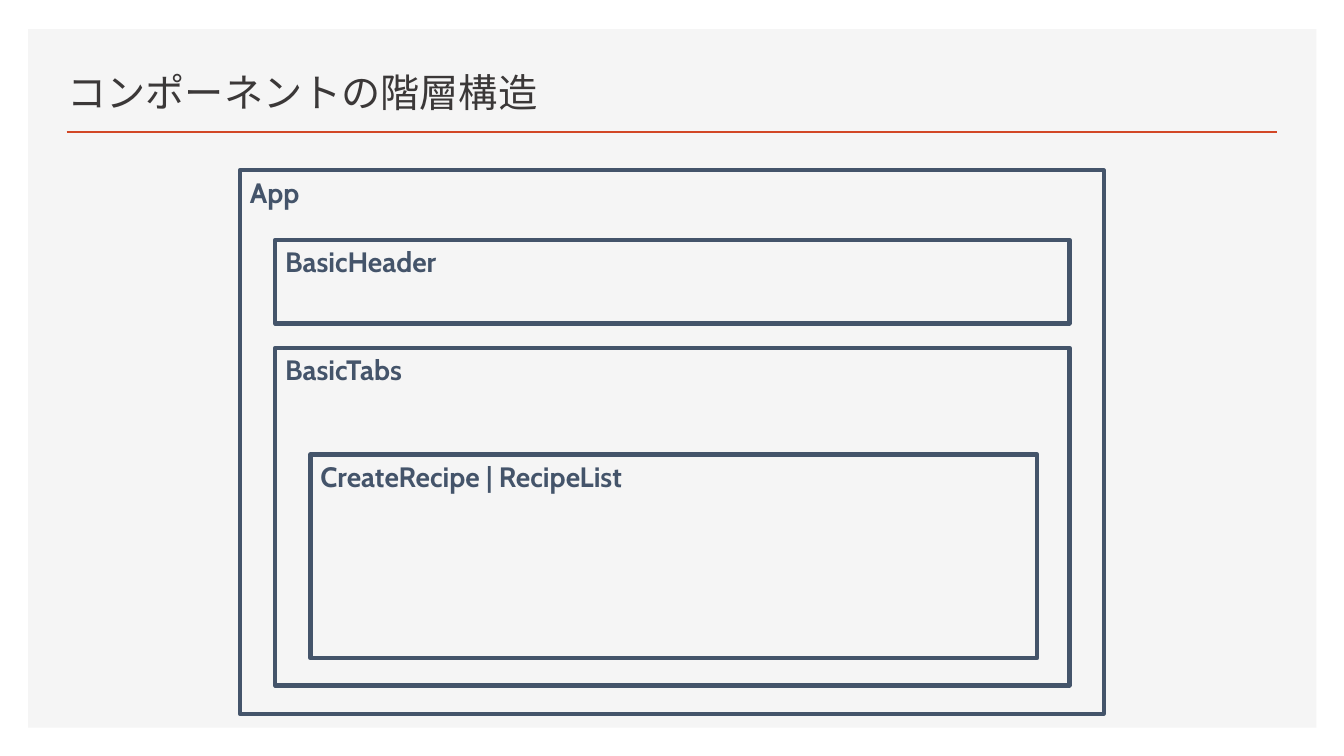
import dataclasses

import pptx
import pptx.dml.color
import pptx.enum.shapes
import pptx.enum.text
import pptx.oxml
import pptx.oxml.ns
import pptx.shapes.autoshape
import pptx.shapes.connector
import pptx.slide
import pptx.text.text
import pptx.util

PANEL_GREY = pptx.dml.color.RGBColor(0xF5, 0xF5, 0xF5)
RULE_ORANGE = pptx.dml.color.RGBColor(0xD2, 0x47, 0x26)
TITLE_GREY = pptx.dml.color.RGBColor(0x3B, 0x38, 0x38)
BOX_BLUE = pptx.dml.color.RGBColor(0x44, 0x54, 0x6A)
TITLE_FONT = "Noto Sans CJK JP"
LABEL_FONT = "Cabin"
APP_LEFT = 171.36
LEVEL_INDENT = 25.2


@dataclasses.dataclass(frozen=True)
class Component:
    name: str
    level: int
    top: float
    width: float
    height: float


COMPONENTS = (
    Component("App", 0, 121.68, 617.04, 388.08),
    Component("BasicHeader", 1, 171.36, 567.36, 59.76),
    Component("BasicTabs", 1, 248.4, 567.36, 241.2),
    Component("CreateRecipe | RecipeList", 2, 324.72, 519.12, 145.44),
)


def add_rectangle(
    slide: pptx.slide.Slide, left: float, top: float, width: float, height: float
) -> pptx.shapes.autoshape.Shape:
    shape = slide.shapes.add_shape(
        pptx.enum.shapes.MSO_SHAPE.RECTANGLE,
        pptx.util.Pt(left),
        pptx.util.Pt(top),
        pptx.util.Pt(width),
        pptx.util.Pt(height),
    )
    shape.shadow.inherit = False
    return shape


def format_text(
    paragraph: pptx.text.text._Paragraph,
    font_name: str,
    size: float,
    color: pptx.dml.color.RGBColor,
    bold: bool,
) -> None:
    """Left-align the paragraph and set its Latin and East Asian fonts."""
    paragraph.alignment = pptx.enum.text.PP_ALIGN.LEFT
    for run in paragraph.runs:
        run.font.name = font_name
        run.font.size = pptx.util.Pt(size)
        run.font.bold = bold
        run.font.color.rgb = color
        east_asian = pptx.oxml.parse_xml(
            f'<a:ea {pptx.oxml.ns.nsdecls("a")} typeface="{font_name}"/>'
        )
        run.font._element.find(pptx.oxml.ns.qn("a:latin")).addnext(east_asian)


def add_panel(slide: pptx.slide.Slide) -> None:
    """Add the grey panel behind everything else."""
    panel = add_rectangle(slide, 20.16, 20.88, 920.16, 498.96)
    panel.fill.solid()
    panel.fill.fore_color.rgb = PANEL_GREY
    panel.line.fill.background()
    slide.shapes.title._element.addprevious(panel._element)


def add_title_rule(slide: pptx.slide.Slide) -> None:
    rule = slide.shapes.add_connector(
        pptx.enum.shapes.MSO_CONNECTOR.STRAIGHT,
        pptx.util.Pt(47.52),
        pptx.util.Pt(94.32),
        pptx.util.Pt(912.24),
        pptx.util.Pt(94.32),
    )
    rule.line.color.rgb = RULE_ORANGE
    rule.line.width = pptx.util.Pt(2)
    rule._element.spPr.append(
        pptx.oxml.parse_xml(f'<a:effectLst {pptx.oxml.ns.nsdecls("a")}/>')
    )


def fill_title(slide: pptx.slide.Slide) -> None:
    title = slide.shapes.title
    title.left, title.top = pptx.util.Pt(41.04), pptx.util.Pt(35.28)
    title.width, title.height = pptx.util.Pt(541.44), pptx.util.Pt(50.4)
    text_frame = title.text_frame
    text_frame.text = "コンポーネントの階層構造"
    text_frame.vertical_anchor = pptx.enum.text.MSO_ANCHOR.BOTTOM
    text_frame.auto_size = pptx.enum.text.MSO_AUTO_SIZE.NONE
    format_text(text_frame.paragraphs[0], TITLE_FONT, 28, TITLE_GREY, False)


def add_component(slide: pptx.slide.Slide, component: Component) -> None:
    left = APP_LEFT + component.level * LEVEL_INDENT
    box = add_rectangle(
        slide, left, component.top, component.width, component.height
    )
    box.fill.background()
    box.line.color.rgb = BOX_BLUE
    box.line.width = pptx.util.Pt(3)
    text_frame = box.text_frame
    text_frame.text = component.name
    text_frame.vertical_anchor = pptx.enum.text.MSO_ANCHOR.TOP
    format_text(text_frame.paragraphs[0], LABEL_FONT, 20, BOX_BLUE, True)


def main() -> None:
    presentation = pptx.Presentation()
    presentation.slide_width = pptx.util.Pt(960)
    presentation.slide_height = pptx.util.Pt(540)
    title_only = presentation.slide_layouts.get_by_name("Title Only")
    slide = presentation.slides.add_slide(title_only)
    add_panel(slide)
    add_title_rule(slide)
    fill_title(slide)
    for component in COMPONENTS:
        add_component(slide, component)
    presentation.save("out.pptx")


if __name__ == "__main__":
    main()
